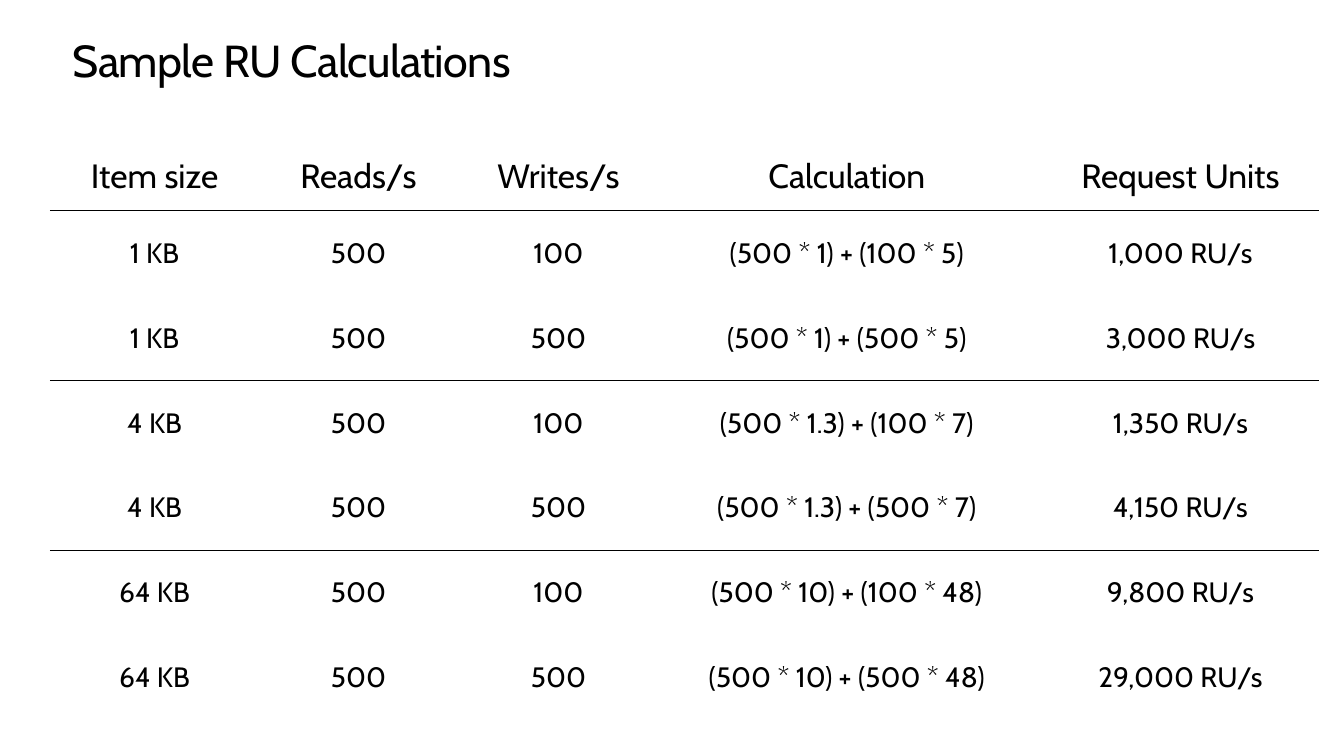
from lxml import etree
from pptx import Presentation
from pptx.dml.color import RGBColor
from pptx.enum.text import MSO_ANCHOR, MSO_AUTO_SIZE, PP_ALIGN
from pptx.oxml.ns import qn
from pptx.util import Cm, Pt

TOP, MIDDLE = MSO_ANCHOR.TOP, MSO_ANCHOR.MIDDLE
LEFT, CENTER = PP_ALIGN.LEFT, PP_ALIGN.CENTER
NO_AUTOFIT = MSO_AUTO_SIZE.NONE

COLORS = {"paper": "FFFFFF", "ink": "000000"}
FONT = "Cabin"
COLUMN_WIDTHS = [5.05, 5.23, 4.85, 9.68, 7.14]
HEADER_HEIGHT, ROW_HEIGHT = 1.75, 2.14
RULED_BELOW = {0, 2, 4}
CALCULATIONS = [
    ("Item size", "Reads/s", "Writes/s", "Calculation", "Request Units"),
    ("1 KB", "500", "100", "(500 * 1) + (100 * 5)", "1,000 RU/s"),
    ("1 KB", "500", "500", "(500 * 1) + (500 * 5)", "3,000 RU/s"),
    ("4 KB", "500", "100", "(500 * 1.3) + (100 * 7)", "1,350 RU/s"),
    ("4 KB", "500", "500", "(500 * 1.3) + (500 * 7)", "4,150 RU/s"),
    ("64 KB", "500", "100", "(500 * 10) + (100 * 48)", "9,800 RU/s"),
    ("64 KB", "500", "500", "(500 * 10) + (500 * 48)", "29,000 RU/s"),
]


def write(paragraph, text, size, alignment):
    paragraph.alignment = alignment
    run = paragraph.add_run()
    run.text = text
    run.font.name = FONT
    run.font.size = Pt(size)
    run.font.color.rgb = RGBColor.from_string(COLORS["ink"])
    return run


def add_border(cell, side, color):
    line = etree.SubElement(cell._tc.get_or_add_tcPr(), qn(f"a:{side}"), w=str(Pt(1)))
    fill = etree.SubElement(line, qn("a:solidFill"))
    etree.SubElement(fill, qn("a:srgbClr"), val=COLORS[color])


prs = Presentation()
prs.slide_width, prs.slide_height = Cm(33.87), Cm(19.05)
slide = prs.slides.add_slide(prs.slide_layouts[5])

heading = slide.shapes.title
heading_place = {"left": 1.83, "top": 0.89, "width": 30.23, "height": 1.27}
for name, length in heading_place.items():
    setattr(heading, name, Cm(length))
heading.fill.solid()
heading.fill.fore_color.rgb = RGBColor.from_string(COLORS["paper"])
heading_format = {
    "margin_left": 0, "margin_top": 0, "margin_right": 0, "margin_bottom": 0,
    "vertical_anchor": TOP, "word_wrap": True, "auto_size": NO_AUTOFIT,
}
for name, value in heading_format.items():
    setattr(heading.text_frame, name, value)
heading_line = heading.text_frame.paragraphs[0]
heading_line.line_spacing = Pt(36.2)
heading_run = write(heading_line, "Sample RU Calculations", 32, LEFT)
heading_run.font._element.set("spc", "-50")

costs = slide.shapes.add_table(
    len(CALCULATIONS), len(COLUMN_WIDTHS), Cm(1.27), Cm(3.56),
    Cm(sum(COLUMN_WIDTHS)), Cm(HEADER_HEIGHT + ROW_HEIGHT * (len(CALCULATIONS) - 1)),
).table
costs.horz_banding = False
for column, width in zip(costs.columns, COLUMN_WIDTHS):
    column.width = Cm(width)

cell_format = {
    "margin_left": Cm(0.2), "margin_top": 0, "margin_right": 0, "margin_bottom": 0,
    "vertical_anchor": MIDDLE,
}
for r, entries in enumerate(CALCULATIONS):
    costs.rows[r].height = Cm(ROW_HEIGHT if r else HEADER_HEIGHT)
    borders = {
        "lnL": "paper",
        "lnR": "paper",
        "lnT": "ink" if r - 1 in RULED_BELOW else "paper",
        "lnB": "ink" if r in RULED_BELOW else "paper",
    }
    for c, entry in enumerate(entries):
        cell = costs.cell(r, c)
        for name, value in cell_format.items():
            setattr(cell, name, value)
        for side, color in borders.items():
            add_border(cell, side, color)
        cell.fill.solid()
        cell.fill.fore_color.rgb = RGBColor.from_string(COLORS["paper"])
        entry_run = write(cell.text_frame.paragraphs[0], entry, 20 if r else 24, CENTER)
        entry_run.font.bold = False

prs.save("out.pptx")
